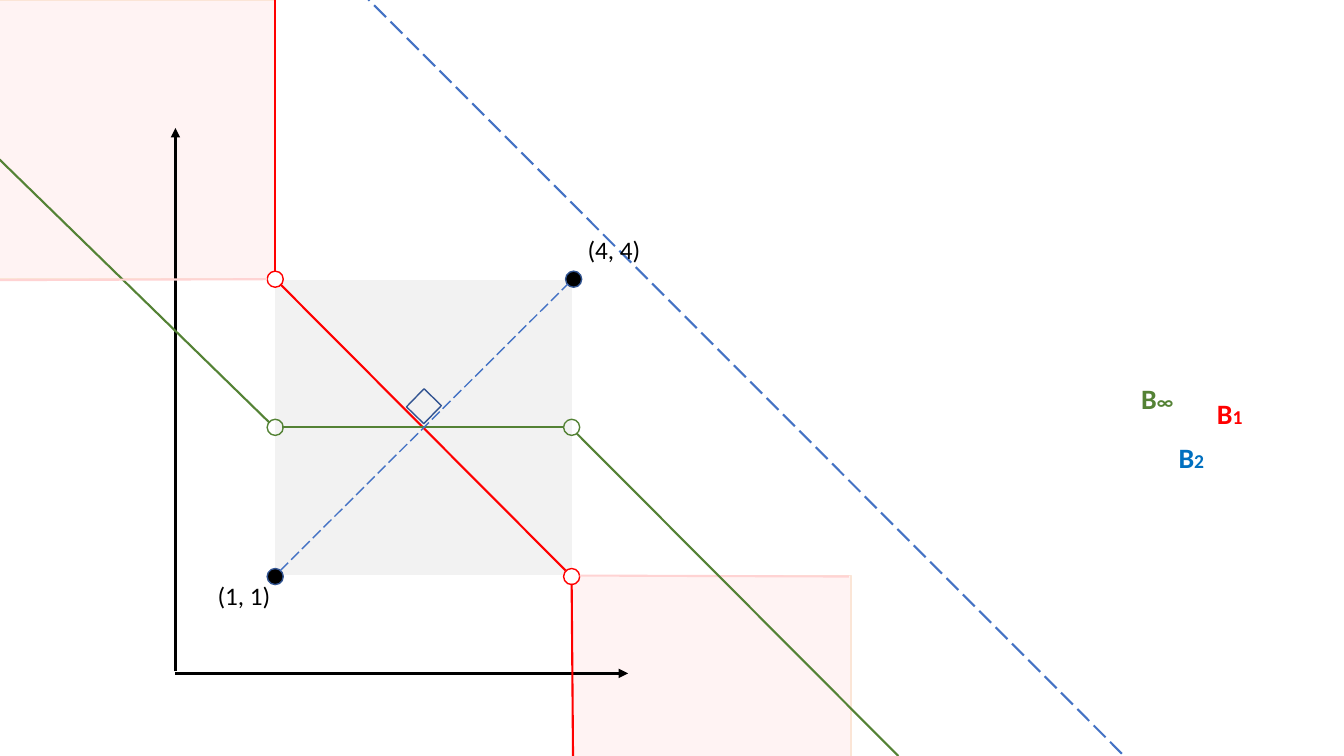
from lxml import etree
from pptx import Presentation
from pptx import util as u
from pptx.dml.color import RGBColor
from pptx.enum import dml, shapes, text
from pptx.oxml.ns import qn

COLORS = {
    "black": "000000", "white": "FFFFFF", "gray": "F2F2F2",
    "red": "FF0000", "pale_red": "FFF3F3", "edge_red": "FFD3D3", "peach": "FBE5D6",
    "green": "548235", "blue": "4472C4", "dark_blue": "325491", "label_blue": "0070C0",
}
DOT = 0.16
LEFT, RIGHT = 2.73, 5.67
TOP, MIDDLE, BOTTOM = 2.77, 4.24, 5.72


def rgb(name):
    return RGBColor.from_string(COLORS[name])


class Diagram:
    """Draws on one slide in a shared style."""

    def __init__(self, slide, font="Calibri"):
        self.slide = slide
        self.font = font

    def shape(self, kind, left, top, width, height, fill, line, rotation=0):
        shape = self.slide.shapes.add_shape(
            kind, *(u.Inches(length) for length in (left, top, width, height)))
        shape.shadow.inherit = False
        shape.rotation = rotation
        if fill:
            shape.fill.solid()
            shape.fill.fore_color.rgb = rgb(fill)
        else:
            shape.fill.background()
        shape.line.color.rgb = rgb(line)
        shape.line.width = u.Pt(1)

    def rectangle(self, left, top, width, height, fill, line, rotation=0):
        self.shape(shapes.MSO_SHAPE.RECTANGLE, left, top, width, height, fill, line, rotation)

    def dot(self, x, y, fill, line):
        """Circle centred on (x, y)."""
        self.shape(shapes.MSO_SHAPE.OVAL, x - DOT / 2, y - DOT / 2, DOT, DOT, fill, line)

    def line(self, start, end, color, width=1.5, dashed=False, arrow=False):
        connector = self.slide.shapes.add_connector(
            shapes.MSO_CONNECTOR.STRAIGHT, *(u.Inches(length) for length in start + end))
        connector.line.color.rgb = rgb(color)
        connector.line.width = u.Pt(width)
        if dashed:
            connector.line.dash_style = dml.MSO_LINE.LONG_DASH
        if arrow:
            etree.SubElement(connector.line._get_or_add_ln(), qn("a:tailEnd"), type="triangle")
        etree.SubElement(connector._element.spPr, qn("a:effectLst"))

    def label(self, left, top, width, height, runs, color, bold=False):
        """Text box whose runs are (wording, size) pairs."""
        box = self.slide.shapes.add_textbox(
            *(u.Inches(length) for length in (left, top, width, height)))
        frame = box.text_frame
        frame.word_wrap = True
        frame.auto_size = text.MSO_AUTO_SIZE.SHAPE_TO_FIT_TEXT
        for wording, size in runs:
            run = frame.paragraphs[0].add_run()
            run.text = wording
            run.font.name = self.font
            run.font.size = u.Pt(size)
            run.font.bold = bold
            run.font.color.rgb = rgb(color)


def main():
    presentation = Presentation()
    presentation.slide_width = u.Inches(13.33)
    presentation.slide_height = u.Inches(7.5)
    diagram = Diagram(presentation.slides.add_slide(presentation.slide_layouts[6]))

    # Regions
    for left, top in ((5.68, 5.71), (-0.03, 0)):
        diagram.rectangle(left, top, 2.76, 2.77, "pale_red", "peach")
    diagram.rectangle(LEFT, 2.78, 2.94, 2.92, "gray", "gray")

    # Axes
    diagram.line((1.74, 6.66), (1.74, 1.27), "black", 2.25, arrow=True)
    diagram.line((1.74, 6.68), (6.23, 6.68), "black", 2.25, arrow=True)

    # Points and bisector corners
    for x, y, fill, color in (
        (LEFT, BOTTOM, "black", "dark_blue"), (5.69, TOP, "black", "dark_blue"),
        (LEFT, TOP, "white", "red"), (RIGHT, BOTTOM, "white", "red"),
        (LEFT, MIDDLE, None, "green"), (RIGHT, MIDDLE, None, "green"),
    ):
        diagram.dot(x, y, fill, color)

    # Bisectors and region edges
    for start, end, color in (
        ((2.78, 2.82), (5.61, 5.66), "red"),
        ((LEFT, -0.02), (LEFT, 2.69), "red"),
        ((5.75, 5.71), (8.42, 5.72), "edge_red"),
        ((2.8, MIDDLE), (5.59, MIDDLE), "green"),
        ((5.72, 4.3), (8.91, 7.5), "green"),
        ((-0.89, 0.72), (2.67, 4.19), "green"),
        ((-0.3, 2.78), (2.65, 2.77), "edge_red"),
        ((RIGHT, 5.79), (5.69, 8.31), "red"),
    ):
        diagram.line(start, end, color)
    diagram.line((2.78, 5.66), (5.63, 2.82), "blue", 1, dashed=True)
    diagram.line((11.29, 7.64), (3.5, -0.16), "blue", dashed=True)

    # Right-angle mark
    diagram.rectangle(4.08, 3.91, 0.25, 0.24, None, "dark_blue", rotation=314.2)

    # Labels
    for wording, left, top in (("(1, 1)", 2.06, 5.71), ("(4, 4)", 5.73, 2.28)):
        diagram.label(left, top, 0.94, 0.4, [(wording, 18)], "black")
    for norm, left, top, color in (
        ("1", 11.97, 3.88, "red"),
        ("∞", 11.22, 3.74, "green"),
        ("2", 11.59, 4.32, "label_blue"),
    ):
        diagram.label(left, top, 0.62, 0.44, [("B", 20), (norm, 14)], color, bold=True)

    presentation.save("out.pptx")


if __name__ == "__main__":
    main()
